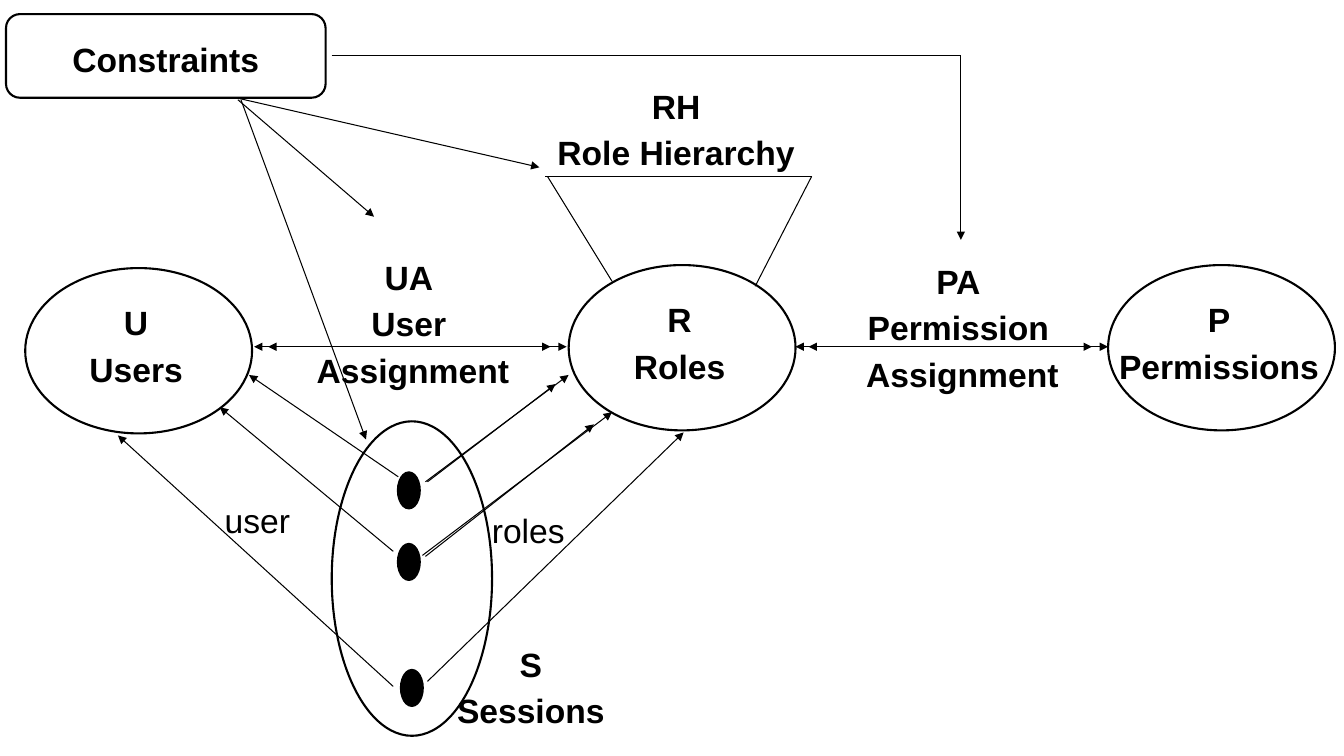
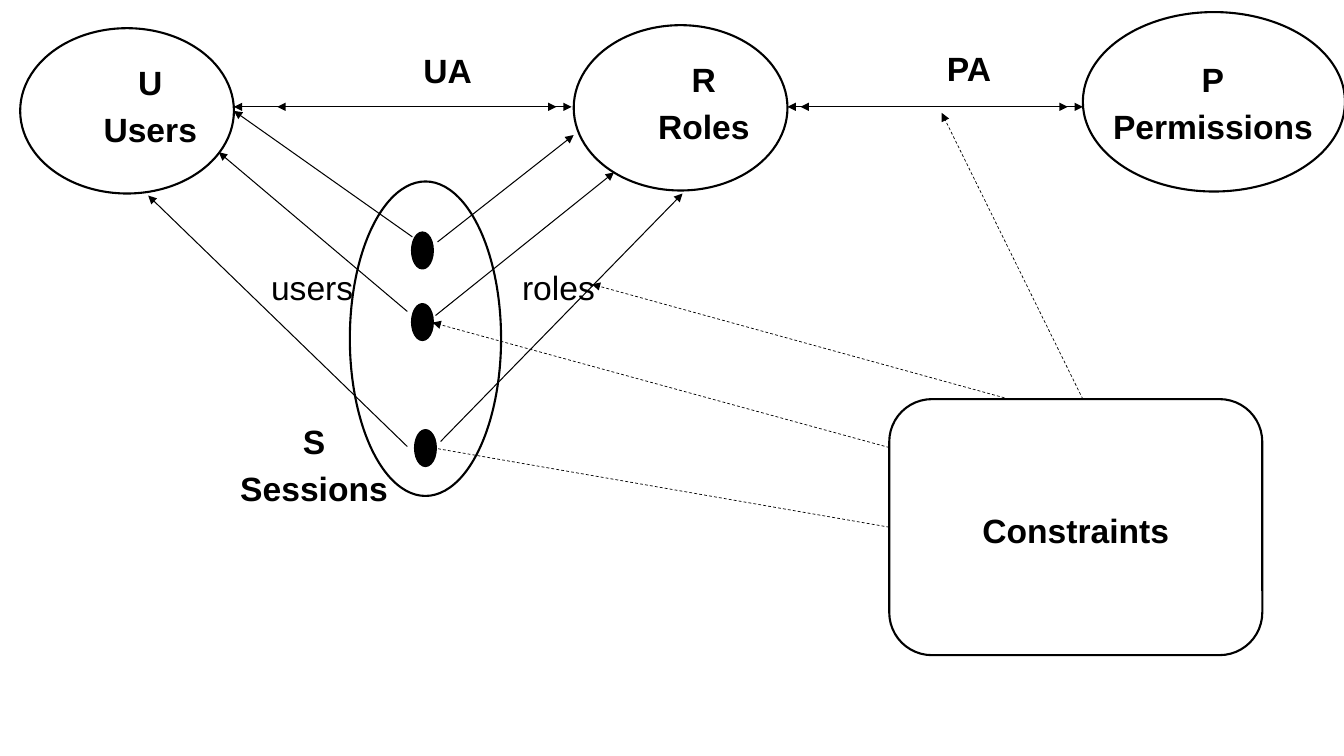
"""Build two role-based access control diagrams."""
from lxml import etree
from pptx import Presentation
from pptx.dml.color import RGBColor
from pptx.enum.dml import MSO_LINE
from pptx.enum.shapes import MSO_CONNECTOR, MSO_SHAPE
from pptx.enum.text import MSO_ANCHOR, PP_ALIGN
from pptx.oxml.ns import qn
from pptx.util import Inches, Pt

BLACK = RGBColor(0, 0, 0)
WHITE = RGBColor(255, 255, 255)
FONT, TEXT_SIZE, LINE_SPACING = "Arial", 24, 1.15
OVAL, ROUNDED = MSO_SHAPE.OVAL, MSO_SHAPE.ROUNDED_RECTANGLE
STRAIGHT, DASH = MSO_CONNECTOR.STRAIGHT, MSO_LINE.DASH
CENTER, LEFT = PP_ALIGN.CENTER, PP_ALIGN.LEFT
TOP, MIDDLE = MSO_ANCHOR.TOP, MSO_ANCHOR.MIDDLE

BLANK_LAYOUT = 6
ENTITY_LABEL_SHIFT = 0.05
SESSION_DOTS = [(-0.03, 0.51), (-0.03, 1.22), (0, 2.47)]
DOT_HEIGHT = 0.35

DIAGRAMS = [
    {
        "sessions": (3.29, 4.18, 1.59, 3.12),
        "dot_width": 0.21,
        "entity_label_width": 2.3,
        "entities": [
            ((0.25, 2.66, 2.25, 1.64), 2.89, ["U", "Users"]),
            ((5.64, 2.63, 2.25, 1.64), 2.86, ["R", "Roles"]),
            ((10.99, 2.63, 2.25, 1.64), 2.86, ["P", "Permissions"]),
        ],
        "constraints": (0.06, 0.14, 3.17, 0.83),
        "headings": [
            ((4.18, 6.28, 2.17, 1.15), ["S", "Sessions"]),
            ((8.29, 2.48, 2.43, 1.5), ["PA", "Permission", " Assignment"]),
            ((2.84, 2.44, 2.43, 1.48), ["UA", "User", " Assignment"]),
            ((5.33, 0.74, 2.75, 1.11), ["RH", "Role Hierarchy"]),
        ],
        "notes": [
            ((4.78, 4.95, 1.45, 0.69), ["roles"]),
            ((2.13, 4.85, 1.45, 0.69), ["user"]),
        ],
        "assignment_y": 3.44,
        "assignments": [(7.89, 10.99), (8.02, 10.83), (2.52, 5.62), (2.66, 5.46)],
        "arrows": [
            (4.22, 4.78, 5.64, 3.72), (4.24, 4.78, 5.51, 3.81),
            (4.19, 5.51, 6.07, 4.09), (4.22, 5.52, 5.89, 4.21),
            (4.24, 6.76, 6.78, 4.29), (3.95, 4.73, 2.47, 3.72),
            (3.9, 5.47, 2.18, 4.04), (3.9, 6.81, 1.17, 4.32),
            (9.53, 0.55, 9.53, 2.38), (2.34, 0.97, 5.35, 1.66),
            (2.36, 0.99, 3.71, 2.15), (2.39, 0.99, 3.63, 4.36),
        ],
        "plain_lines": [
            (5.41, 1.75, 8.05, 1.75), (8.05, 1.75, 7.49, 2.84),
            (5.43, 1.75, 6.07, 2.79), (3.29, 0.55, 9.53, 0.55),
        ],
        "dashed_arrows": [],
    },
    {
        "sessions": (3.47, 1.8, 1.5, 3.12),
        "dot_width": 0.2,
        "entity_label_width": 2.68,
        "entities": [
            ((0.2, 0.28, 2.12, 1.64), 0.51, ["U", "Users"]),
            ((5.69, 0.25, 2.12, 1.64), 0.48, ["R", "Roles"]),
            ((10.74, 0.12, 2.6, 1.78), 0.48, ["P", "Permissions"]),
        ],
        "constraints": (8.82, 3.96, 3.7, 2.54),
        "headings": [
            ((1.85, 4.07, 2.53, 1.15), ["S", "Sessions"]),
            ((8.19, 0.37, 2.84, 0.45), ["PA"]),
            ((3.02, 0.39, 2.84, 0.45), ["UA"]),
        ],
        "notes": [
            ((5.08, 2.54, 1.7, 0.84), ["roles"]),
            ((2.59, 2.54, 1.7, 0.84), ["users"]),
        ],
        "assignment_y": 1.06,
        "assignments": [(7.81, 10.74), (7.94, 10.59), (2.75, 5.67), (2.32, 5.52)],
        "arrows": [
            (4.34, 2.4, 5.69, 1.34), (4.32, 3.13, 6.09, 1.71),
            (4.37, 4.38, 6.77, 1.92), (4.09, 2.35, 2.32, 1.1),
            (4.04, 3.09, 2.17, 1.51), (4.04, 4.43, 1.47, 1.94),
        ],
        "plain_lines": [],
        "dashed_arrows": [
            (10.74, 3.96, 9.34, 1.12), (10.01, 3.96, 5.87, 2.82),
            (8.82, 4.44, 4.29, 3.2), (8.82, 5.23, 4.22, 4.43),
        ],
    },
]


def write_text(shape, lines, bold=True, align=CENTER, anchor=TOP, space_after=0):
    """Write one paragraph per line in the shared text style."""
    frame = shape.text_frame
    frame.word_wrap = True
    frame.vertical_anchor = anchor
    for index, line in enumerate(lines):
        paragraph = frame.add_paragraph() if index else frame.paragraphs[0]
        paragraph.alignment = align
        paragraph.line_spacing = LINE_SPACING
        paragraph.space_after = Pt(space_after)
        run = paragraph.add_run()
        run.text = line
        run.font.name = FONT
        run.font.size = Pt(TEXT_SIZE)
        run.font.bold = bold
        run.font.color.rgb = BLACK


def add_label(slide, box, lines, **style):
    """Add a text box holding the lines."""
    write_text(slide.shapes.add_textbox(*map(Inches, box)), lines, **style)


def add_outline(slide, kind, box, width=1.5, filled=False):
    """Add a black outlined shape, solid black when filled."""
    shape = slide.shapes.add_shape(kind, *map(Inches, box))
    shape.shadow.inherit = False
    if filled:
        shape.fill.solid()
        shape.fill.fore_color.rgb = BLACK
    else:
        shape.fill.background()
    shape.line.color.rgb = BLACK
    shape.line.width = Pt(width)
    return shape


def add_line(slide, ends, arrows=("tailEnd",), width=0.75, dashed=False):
    """Add a straight line with triangles at the named ends."""
    connector = slide.shapes.add_connector(STRAIGHT, *map(Inches, ends))
    connector.line.color.rgb = BLACK
    connector.line.width = Pt(width)
    if dashed:
        connector.line.dash_style = DASH
    outline = connector.line._get_or_add_ln()
    for arrow in arrows:
        etree.SubElement(outline, qn(f"a:{arrow}"), type="triangle")
    etree.SubElement(connector._element.spPr, qn("a:effectLst"))


def add_sessions(slide, box, dot_width):
    """Add the sessions oval and its three dots."""
    add_outline(slide, OVAL, box)
    left, top, width, _ = box
    dot_left = left + (width - dot_width) / 2
    for shift, drop in SESSION_DOTS:
        dot = (dot_left + shift, top + drop, dot_width, DOT_HEIGHT)
        add_outline(slide, OVAL, dot, 2, filled=True)


def add_entity(slide, box, label_top, label_width, lines):
    """Add an entity oval and its label."""
    left, _, _, height = box
    add_outline(slide, OVAL, box)
    add_label(slide, (left - ENTITY_LABEL_SHIFT, label_top, label_width, height), lines)


def add_diagram(presentation, diagram):
    """Add a slide with one diagram."""
    slide = presentation.slides.add_slide(presentation.slide_layouts[BLANK_LAYOUT])
    add_sessions(slide, diagram["sessions"], diagram["dot_width"])
    for box, label_top, lines in diagram["entities"]:
        add_entity(slide, box, label_top, diagram["entity_label_width"], lines)
    for box, lines in diagram["headings"]:
        add_label(slide, box, lines)
    for box, lines in diagram["notes"]:
        add_label(slide, box, lines, bold=False, align=LEFT, space_after=10)
    constraints = add_outline(slide, ROUNDED, diagram["constraints"])
    write_text(constraints, ["Constraints"], anchor=MIDDLE, space_after=10)
    y = diagram["assignment_y"]
    for start, end in diagram["assignments"]:
        add_line(slide, (start, y, end, y), ("headEnd", "tailEnd"))
    for ends in diagram["arrows"]:
        add_line(slide, ends)
    for ends in diagram["plain_lines"]:
        add_line(slide, ends, ())
    for ends in diagram["dashed_arrows"]:
        add_line(slide, ends, width=0.5, dashed=True)


def main():
    """Build and save the presentation."""
    presentation = Presentation()
    presentation.slide_width = Inches(13.33)
    presentation.slide_height = Inches(7.5)
    background = presentation.slide_master.background.fill
    background.solid()
    background.fore_color.rgb = WHITE
    for diagram in DIAGRAMS:
        add_diagram(presentation, diagram)
    presentation.save("out.pptx")


main()
